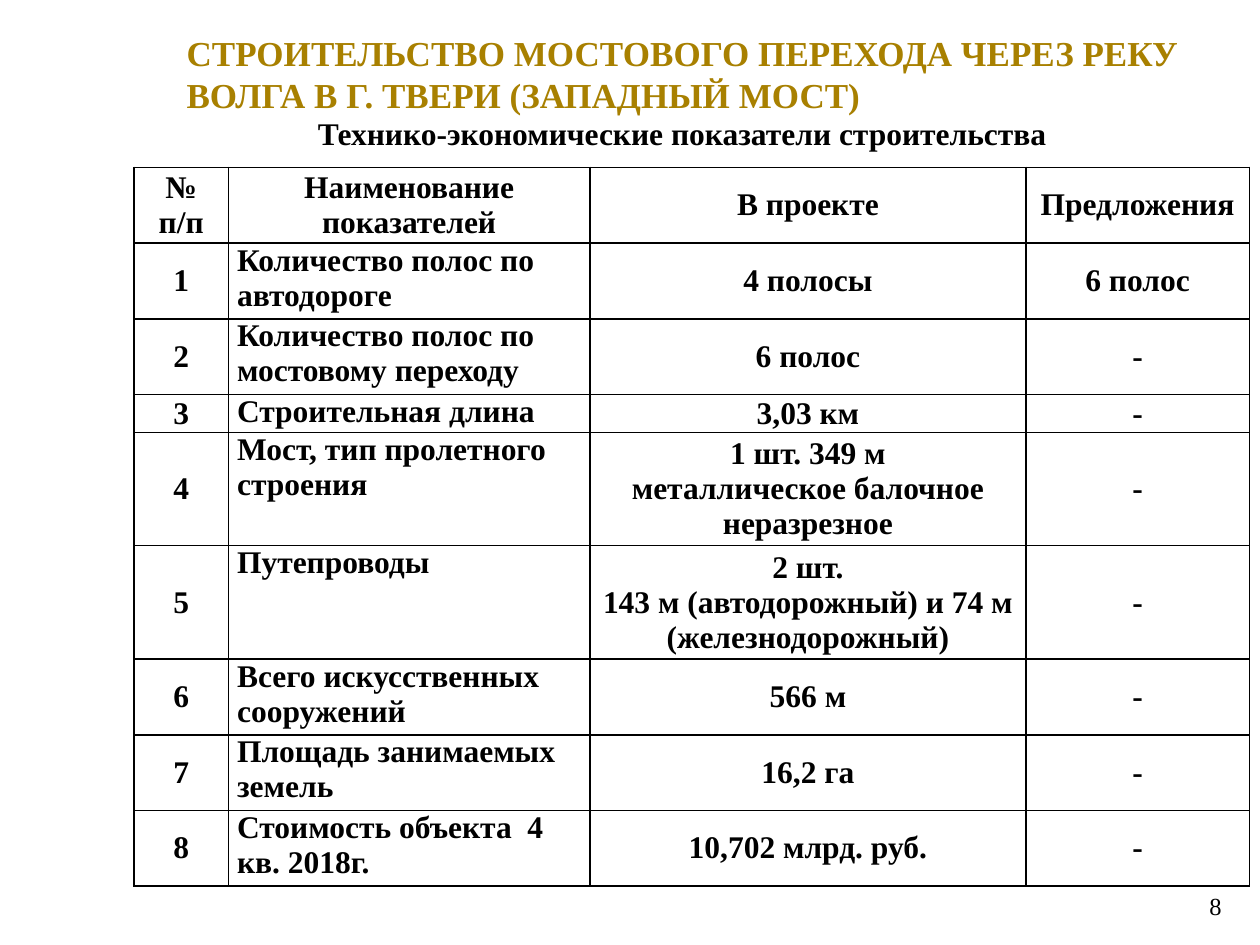
from dataclasses import dataclass

from lxml import etree
from pptx import Presentation
from pptx.dml.color import RGBColor
from pptx.enum import text
from pptx.oxml import ns
from pptx.util import Pt


@dataclass(frozen=True)
class Theme:
    font: str = "Times New Roman"
    gold: str = "A88000"
    black: str = "000000"
    title_size: float = 20
    body_size: float = 18
    number_size: float = 14
    border: float = 1
    row_line: float = 21.6


THEME = Theme()
CENTER, LEFT = text.PP_ALIGN.CENTER, text.PP_ALIGN.LEFT
MIDDLE, TOP = text.MSO_ANCHOR.MIDDLE, text.MSO_ANCHOR.TOP

COLUMN_WIDTHS = (54, 206.6, 249.2, 127.6)
INDICATORS = (
    (2, "№ п/п", "Наименование показателей", "В проекте", "Предложения"),
    (2, "1", "Количество полос по автодороге", "4 полосы", "6 полос"),
    (2, "2", "Количество полос по мостовому переходу", "6 полос", "-"),
    (1, "3", "Строительная длина", "3,03 км", "-"),
    (3, "4", "Мост, тип пролетного строения",
     "1 шт. 349 м\nметаллическое балочное неразрезное", "-"),
    (3, "5", "Путепроводы",
     "2 шт.\n143 м (автодорожный) и 74 м (железнодорожный)", "-"),
    (2, "6", "Всего искусственных сооружений", "566 м", "-"),
    (2, "7", "Площадь занимаемых земель", "16,2 га", "-"),
    (2, "8", "Стоимость объекта  4 кв. 2018г.", "10,702 млрд. руб.", "-"),
)


def write_text(frame, content, size=THEME.body_size, color=THEME.black,
               bold=True, align=LEFT, wrap=True):
    frame.word_wrap = wrap
    frame.text = content
    for paragraph in frame.paragraphs:
        paragraph.alignment = align
        for run in paragraph.runs:
            run.font.name = THEME.font
            run.font.size = Pt(size)
            run.font.bold = bold
            run.font.color.rgb = RGBColor.from_string(color)


def add_title(slide, left, top, width, height):
    title = slide.shapes.title
    title.left, title.top = Pt(left), Pt(top)
    title.width, title.height = Pt(width), Pt(height)
    frame = title.text_frame
    write_text(frame, "СТРОИТЕЛЬСТВО МОСТОВОГО ПЕРЕХОДА ЧЕРЕЗ РЕКУ "
               "ВОЛГА В Г. ТВЕРИ (ЗАПАДНЫЙ МОСТ)",
               size=THEME.title_size, color=THEME.gold)
    frame.vertical_anchor = TOP
    frame.auto_size = text.MSO_AUTO_SIZE.NONE


def add_label(slide, content, left, top, width, height, **text_format):
    label = slide.shapes.add_textbox(Pt(left), Pt(top), Pt(width), Pt(height))
    write_text(label.text_frame, content, **text_format)


def draw_borders(cell):
    properties = cell._tc.get_or_add_tcPr()
    for position, side in enumerate(("lnL", "lnR", "lnT", "lnB")):
        line = etree.Element(ns.qn(f"a:{side}"), w=str(Pt(THEME.border)))
        fill = etree.SubElement(line, ns.qn("a:solidFill"))
        etree.SubElement(fill, ns.qn("a:srgbClr"), val=THEME.black)
        properties.insert(position, line)


def format_cell(cell, content, is_name):
    cell.margin_left = cell.margin_right = Pt(5)
    cell.margin_top = cell.margin_bottom = 0
    cell.vertical_anchor = TOP if is_name else MIDDLE
    write_text(cell.text_frame, content, align=LEFT if is_name else CENTER)
    cell.fill.background()
    draw_borders(cell)


def add_indicator_table(slide, left, top):
    height = THEME.row_line * sum(lines for lines, *_ in INDICATORS)
    table = slide.shapes.add_table(
        len(INDICATORS), len(COLUMN_WIDTHS), Pt(left), Pt(top),
        Pt(sum(COLUMN_WIDTHS)), Pt(height)).table
    table.first_row = table.horz_banding = False
    for column, width in zip(table.columns, COLUMN_WIDTHS):
        column.width = Pt(width)
    for row_index, (lines, *contents) in enumerate(INDICATORS):
        table.rows[row_index].height = Pt(THEME.row_line * lines)
        for column_index, content in enumerate(contents):
            is_name = row_index > 0 and column_index == 1
            format_cell(table.cell(row_index, column_index), content, is_name)


def main():
    presentation = Presentation()
    presentation.slide_width, presentation.slide_height = Pt(720), Pt(540)
    slide = presentation.slides.add_slide(presentation.slide_layouts[5])
    add_title(slide, 99.4, 14.4, 612.7, 55.4)
    add_label(slide, "Технико-экономические показатели строительства",
              59.8, 61.9, 660.2, 28.8, align=CENTER)
    add_indicator_table(slide, 76.5, 95.7)
    add_label(slide, "8", 684, 505.4, 21.6, 24.5,
              size=THEME.number_size, bold=False, wrap=False)
    presentation.save("out.pptx")


if __name__ == "__main__":
    main()
